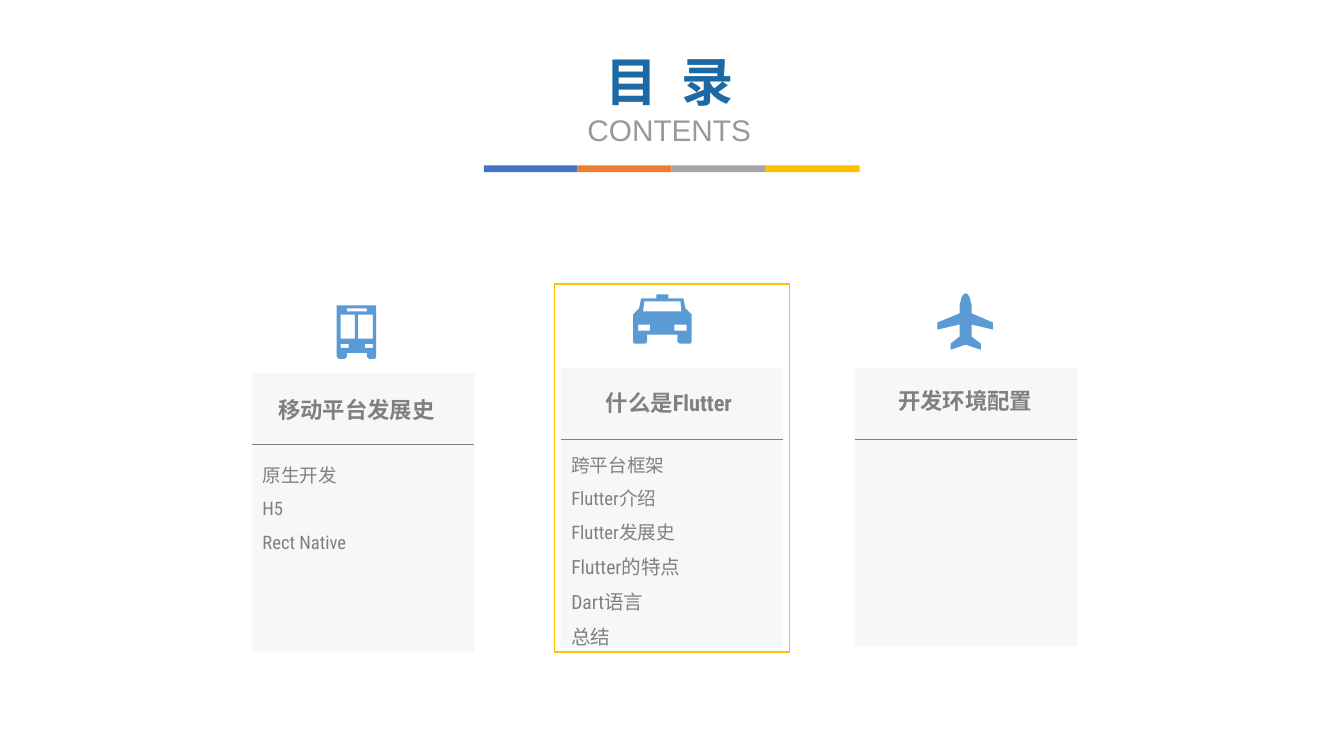
import lxml.etree
import pptx
import pptx.dml.color
import pptx.enum.shapes
import pptx.enum.text
import pptx.oxml.ns
import pptx.util

Pt = pptx.util.Pt
hue = pptx.dml.color.RGBColor.from_string
qn = pptx.oxml.ns.qn
mid = pptx.enum.text.PP_ALIGN.CENTER
left = pptx.enum.text.PP_ALIGN.LEFT
kinds = pptx.enum.shapes

deck = pptx.Presentation()
deck.slide_width, deck.slide_height = Pt(960), Pt(540)
slide = deck.slides.add_slide(deck.slide_layouts[5])
shapes = slide.shapes


def box(x, y, w, h, fill=None):
    rect = shapes.add_shape(kinds.MSO_SHAPE.RECTANGLE, Pt(x), Pt(y), Pt(w), Pt(h))
    rect.shadow.inherit = False
    rect.line.fill.background()
    if fill:
        rect.fill.solid()
        rect.fill.fore_color.rgb = hue(fill)
    else:
        rect.fill.background()
    return rect


def write(shape, lines, align, gap=1.0):
    """Each line is (text, size, font, colour, bold)."""
    frame = shape.text_frame
    frame.word_wrap = True
    frame.auto_size = pptx.enum.text.MSO_AUTO_SIZE.NONE
    frame.vertical_anchor = pptx.enum.text.MSO_ANCHOR.TOP
    for i, (text, size, font, tint, bold) in enumerate(lines):
        para = frame.add_paragraph() if i else frame.paragraphs[0]
        para.alignment, para.line_spacing = align, gap
        run = para.add_run()
        run.text = text
        run.font.size, run.font.name, run.font.bold = Pt(size), font, bold
        run.font.color.rgb = hue(tint)


# Title
title = shapes.title
title.left, title.top, title.width, title.height = Pt(400.3), Pt(31.7), Pt(155.5), Pt(78.5)
write(title, [("目  录", 37.3, "Roboto Condensed", "1D69A3", True),
              ("CONTENTS", 21.3, "Arial", "999999", False)], mid)

# Colour bar under the title
for i, tint in enumerate(["4472C4", "ED7D31", "A5A5A5", "FFC000"]):
    box(345.6 + i * 67.1, 118.1, 67.1, 5, tint)

# Cards: left, top, heading, heading box (left, top, width), list top, list
cards = [
    (179.8, 266.6, "移动平台发展史", (183, 279.4, 143.3), 319.7,
     [("原生开发", 13.3), ("H5", 13.3), ("Rect Native", 13.3)]),
    (400.4, 262.8, "什么是Flutter", (401.8, 274.3, 151.9), 312.5,
     [("跨平台框架", 13.3), ("Flutter介绍", 13.3), ("Flutter发展史", 13.3),
      ("Flutter的特点", 14), ("Dart语言", 14), ("总结", 14)]),
    (610.6, 262.8, "开发环境配置", (623.6, 272.9, 131.6), 312.5, []),
]
wide, high, rule = 159, 198.9, 50.8
for x, y, head, (hx, hy, hw), top, items in cards:
    card = box(x, y, wide, high, "D9D9D9")
    tone = card.fill._xPr.find(".//" + qn("a:srgbClr"))
    lxml.etree.SubElement(tone, qn("a:alpha")).set("val", "20000")

    line = shapes.add_connector(kinds.MSO_CONNECTOR.STRAIGHT,
                                Pt(x), Pt(y + rule), Pt(x + wide), Pt(y + rule))
    line.line.color.rgb, line.line.width = hue("808080"), Pt(0.5)
    lxml.etree.SubElement(line._element.spPr, qn("a:effectLst"))

    label = shapes.add_textbox(Pt(hx), Pt(hy), Pt(hw), Pt(26.6))
    write(label, [(head, 16, "Roboto Condensed", "808080", True)], mid)
    if items:
        body = shapes.add_textbox(Pt(x + 0.6), Pt(top), Pt(165.6), Pt(26 * len(items)))
        write(body, [(text, size, "Roboto Condensed", "808080", False)
                     for text, size in items], left, 1.5)

# Frame around the current chapter
frame = box(396, 203, 167.8, 262.8)
frame.line.color.rgb, frame.line.width = hue("FFC000"), Pt(1)

# Icons: origin in points, then outlines in units of 0.72 pt; later ones are holes
bus = [
    [(0, 0), (39, 0), (39, 51), (38, 53), (32, 53), (30, 51), (30, 47),
     (10, 47), (10, 51), (8, 53), (2, 53), (0, 51)],
    [(28, 38), (36, 38), (36, 42), (28, 42)],
    [(4, 38), (12, 38), (12, 42), (4, 42)],
    [(21, 9), (36, 9), (36, 33), (21, 33)],
    [(4, 9), (18, 9), (18, 33), (4, 33)],
    [(10, 3), (30, 3), (30, 6), (10, 6)],
]
car = [
    [(0, 20), (6, 14), (8, 4), (23, 4), (23, 0), (35, 0), (35, 4), (50, 4),
     (52, 14), (58, 20), (58, 47), (57, 49), (46, 49), (44, 47), (44, 40),
     (14, 40), (14, 47), (12, 49), (1, 49), (0, 47)],
    [(11, 7), (47, 7), (48, 17), (10, 17)],
    [(5, 30), (17, 30), (17, 36), (5, 36)],
    [(41, 30), (53, 30), (53, 36), (41, 36)],
]
plane = [
    [(28, 0), (26, 1), (24, 4), (22, 12), (22, 20), (0, 29), (0, 36), (22, 31),
     (22, 43), (13, 50), (13, 56), (28, 51), (43, 56), (43, 50), (34, 43),
     (34, 31), (55, 36), (55, 29), (34, 20), (34, 12), (32, 4), (30, 1)],
]
for x, y, paths in [(240.5, 218.2, bus), (452.2, 210.2, car), (669.6, 209.5, plane)]:
    pen = shapes.build_freeform(*paths[0][0], scale=Pt(0.72))
    for i, path in enumerate(paths):
        if i:
            pen.move_to(*path[0])
        pen.add_line_segments(path[1:], close=True)
    icon = pen.convert_to_shape(Pt(x), Pt(y))
    icon.shadow.inherit = False
    icon.fill.solid()
    icon.fill.fore_color.rgb = hue("5B9BD5")
    icon.line.fill.background()

deck.save("out.pptx")
